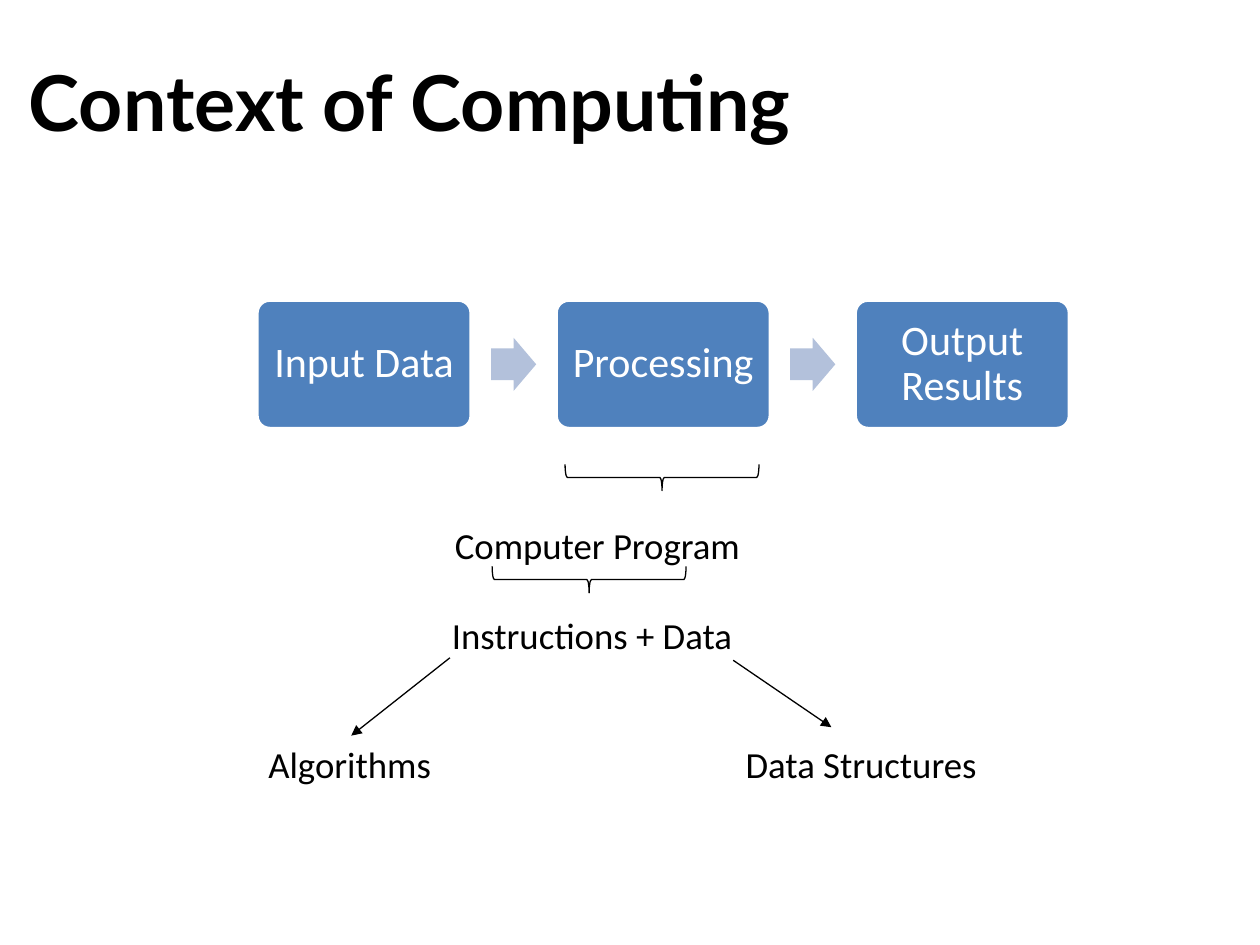
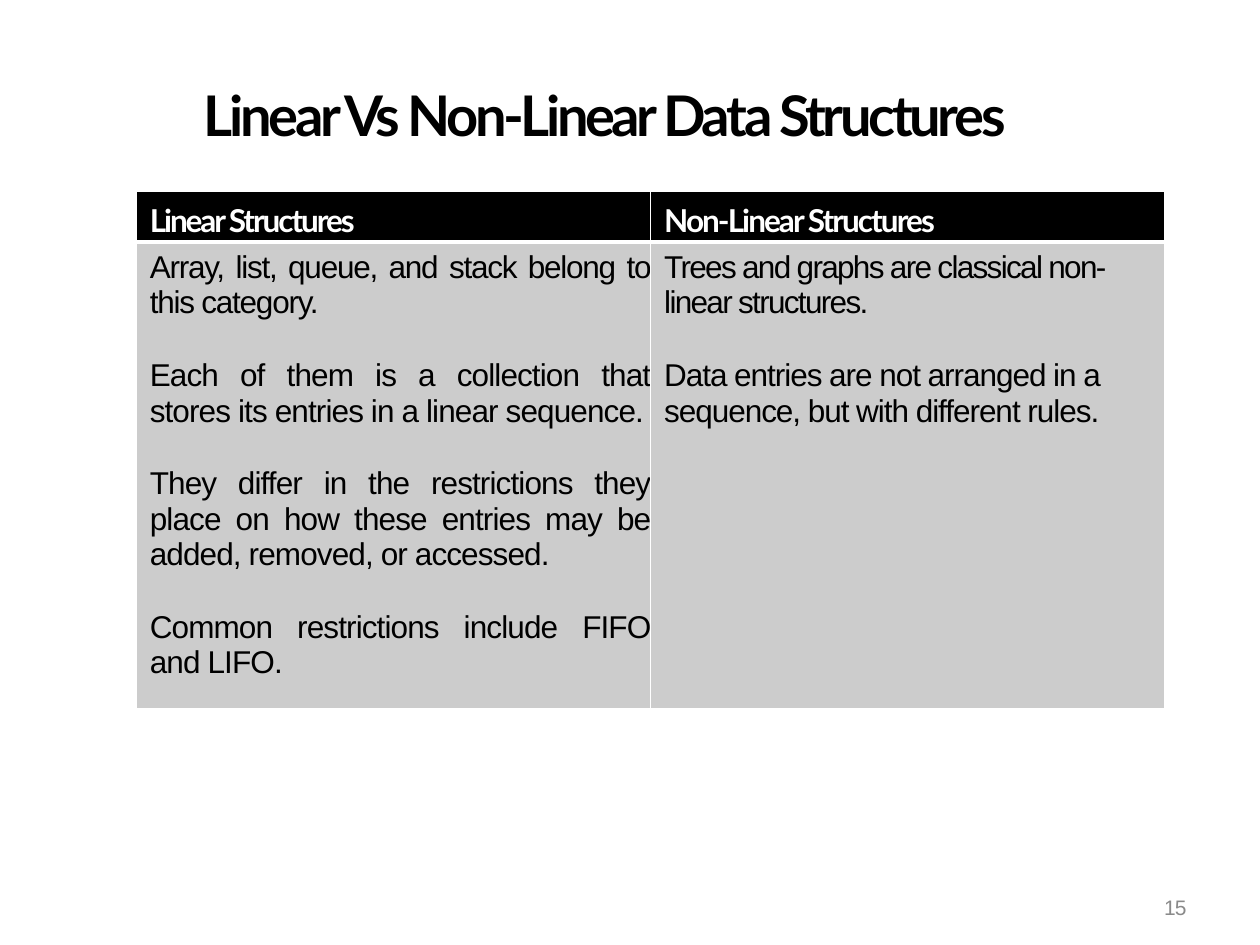
"""Build two slides on computing context and data structures."""
from dataclasses import dataclass

import pptx
import pptx.dml.color
import pptx.enum.shapes
import pptx.enum.text
import pptx.oxml.ns
import pptx.util
from lxml import etree

Cm = pptx.util.Cm
Pt = pptx.util.Pt
Shape = pptx.enum.shapes.MSO_SHAPE
Align = pptx.enum.text.PP_ALIGN
Anchor = pptx.enum.text.MSO_ANCHOR
qn = pptx.oxml.ns.qn


@dataclass(frozen=True)
class Theme:
    black: str = "000000"
    white: str = "FFFFFF"
    step: str = "4F81BD"
    arrow: str = "B3C1DB"
    cell: str = "CCCCCC"
    number: str = "8A8A8A"
    heading_font: str = "Lato"
    diagram_font: str = "Calibri"
    body_font: str = "Arial"
    title_size: float = 44
    small_title_size: float = 32
    step_size: float = 24
    label_size: float = 21
    table_size: float = 18
    number_size: float = 12
    hairline: float = 0.75
    cell_line: float = 1
    heavy_line: float = 3
    paragraph_gap: float = 21.5


def rgb(value):
    return pptx.dml.color.RGBColor.from_string(value)


class Deck:
    def __init__(self, theme):
        self.theme = theme
        self.presentation = pptx.Presentation()
        self.presentation.slide_width = Cm(25.4)
        self.presentation.slide_height = Cm(19.05)
        self.slide = None

    def new_slide(self):
        layout = self.presentation.slide_layouts.get_by_name("Title Only")
        self.slide = self.presentation.slides.add_slide(layout)

    def style(self, paragraph, font, size, color, bold=False, spacing=0, align=Align.LEFT):
        paragraph.alignment = align
        for run in paragraph.runs:
            run.font.name = font
            run.font.size = Pt(size)
            run.font.bold = bold
            run.font.color.rgb = rgb(color)
            if spacing:
                run.font._element.set("spc", str(round(spacing * 100)))

    def margins(self, frame, left=0, top=0, right=0, bottom=0):
        frame.margin_left, frame.margin_top = Cm(left), Cm(top)
        frame.margin_right, frame.margin_bottom = Cm(right), Cm(bottom)

    def title(self, text, left, top, width, height, size, spacing=0):
        heading = self.slide.shapes.title
        heading.left, heading.top = Cm(left), Cm(top)
        heading.width, heading.height = Cm(width), Cm(height)
        frame = heading.text_frame
        frame.text = text
        frame.auto_size = pptx.enum.text.MSO_AUTO_SIZE.NONE
        frame.vertical_anchor = Anchor.TOP
        self.margins(frame)
        self.style(frame.paragraphs[0], self.theme.heading_font, size,
                   self.theme.black, True, spacing)

    def shape(self, kind, left, top, width, height, fill=None, line=None, line_width=0):
        added = self.slide.shapes.add_shape(kind, Cm(left), Cm(top), Cm(width), Cm(height))
        added.shadow.inherit = False
        if fill:
            added.fill.solid()
            added.fill.fore_color.rgb = rgb(fill)
        else:
            added.fill.background()
        if line:
            added.line.color.rgb = rgb(line)
            added.line.width = Pt(line_width)
        else:
            added.line.fill.background()
        return added

    def step(self, text, left, top, width, height):
        box = self.shape(Shape.ROUNDED_RECTANGLE, left, top, width, height,
                         self.theme.step, self.theme.white, 2)
        box.adjustments[0] = 0.1
        frame = box.text_frame
        frame.text = text
        frame.word_wrap = True
        frame.vertical_anchor = Anchor.MIDDLE
        self.margins(frame, 0.15, 0.15, 0.15, 0.15)
        frame.paragraphs[0].line_spacing = 0.9
        self.style(frame.paragraphs[0], self.theme.diagram_font, self.theme.step_size,
                   self.theme.white, align=Align.CENTER)

    def block_arrow(self, left, top, width, height):
        arrow = self.shape(Shape.RIGHT_ARROW, left, top, width, height, self.theme.arrow)
        arrow.adjustments[0] = 0.6
        arrow.adjustments[1] = 0.5

    def brace(self, left, top):
        turned = self.shape(Shape.RIGHT_BRACE, left, top, 0.53, 3.91,
                            line=self.theme.black, line_width=self.theme.hairline)
        turned.rotation = 90

    def text_box(self, text, left, top, width, height, font, size, color, spacing=0):
        box = self.slide.shapes.add_textbox(Cm(left), Cm(top), Cm(width), Cm(height))
        box.text_frame.text = text
        box.text_frame.word_wrap = True
        self.style(box.text_frame.paragraphs[0], font, size, color, spacing=spacing)
        return box

    def label(self, text, left, top, width):
        return self.text_box(text, left, top, width, 1.14, self.theme.diagram_font,
                             self.theme.label_size, self.theme.black)

    def page_number(self, number):
        box = self.text_box(number, 23.39, 17.75, 0.8, 0.76, self.theme.body_font,
                            self.theme.number_size, self.theme.number, -0.6)
        self.margins(box.text_frame, left=0.08, top=0.29)

    def thin_arrow(self, start, end):
        link = self.slide.shapes.add_connector(
            pptx.enum.shapes.MSO_CONNECTOR.STRAIGHT, *map(Cm, start + end))
        link.line.color.rgb = rgb(self.theme.black)
        link.line.width = Pt(self.theme.hairline)
        etree.SubElement(link.line._get_or_add_ln(), qn("a:tailEnd"), type="triangle")
        etree.SubElement(link._element.spPr, qn("a:effectLst"))
        return link

    def cell_borders(self, cell, top, bottom):
        properties = cell._tc.get_or_add_tcPr()
        widths = {"lnL": self.theme.cell_line, "lnR": self.theme.cell_line,
                  "lnT": top, "lnB": bottom}
        for position, (side, width) in enumerate(widths.items()):
            line = etree.Element(qn("a:" + side), w=str(Pt(width)))
            fill = etree.SubElement(line, qn("a:solidFill"))
            etree.SubElement(fill, qn("a:srgbClr"), val=self.theme.white)
            properties.insert(position, line)

    def cell(self, cell, entries, fill, top_margin, **text_style):
        cell.fill.solid()
        cell.fill.fore_color.rgb = rgb(fill)
        self.margins(cell, left=0.28, top=top_margin)
        for position, (text, spacing) in enumerate(entries):
            frame = cell.text_frame
            paragraph = frame.add_paragraph() if position else frame.paragraphs[0]
            paragraph.text = text
            if position:
                paragraph.space_before = Pt(self.theme.paragraph_gap)
            self.style(paragraph, size=self.theme.table_size, spacing=spacing, **text_style)

    def comparison(self, columns, left, top, column_width, row_heights):
        table = self.slide.shapes.add_table(
            2, len(columns), Cm(left), Cm(top),
            Cm(column_width * len(columns)), Cm(sum(row_heights))).table
        for row, height in zip(table.rows, row_heights):
            row.height = Cm(height)
        thin, heavy = self.theme.cell_line, self.theme.heavy_line
        for index, (heading, entries, align) in enumerate(columns):
            table.columns[index].width = Cm(column_width)
            self.cell(table.cell(0, index), [heading], self.theme.black, 0.19,
                      font=self.theme.heading_font, color=self.theme.white, bold=True)
            self.cell(table.cell(1, index), entries, self.theme.cell, 0.16,
                      font=self.theme.body_font, color=self.theme.black, align=align)
            self.cell_borders(table.cell(0, index), thin, heavy)
            self.cell_borders(table.cell(1, index), heavy, thin)


def computing_context(deck):
    deck.new_slide()
    deck.title("Context of Computing", 0.58, 1.09, 23.77, 1.93, deck.theme.title_size)

    left, top, width, height, pitch = 5.18, 6.05, 4.32, 2.59, 6.03
    arrow_width, arrow_height = 0.91, 1.07
    stages = ["Input Data", "Processing", "Output Results"]
    for index, stage in enumerate(stages):
        stage_left = left + index * pitch
        deck.step(stage, stage_left, top, width, height)
        if index:
            deck.block_arrow(stage_left - (pitch - width + arrow_width) / 2,
                             top + (height - arrow_height) / 2, arrow_width, arrow_height)

    deck.brace(13.08, 7.67)
    deck.label("Computer Program", 8.92, 10.41, 6.6)
    deck.brace(11.61, 9.73)
    deck.label("Instructions + Data", 8.86, 12.22, 6.6)
    algorithms = deck.label("Algorithms", 5.16, 14.83, 3.84)
    deck.label("Data Structures", 14.78, 14.83, 5.4)
    deck.thin_arrow((9.07, 13.26), (7.08, 14.83)).end_connect(algorithms, 0)
    deck.thin_arrow((14.78, 13.31), (16.76, 14.66))


def structure_comparison(deck):
    deck.new_slide()
    deck.title("Linear Vs Non-Linear Data Structures", 4.11, 1.63, 17.2, 1.42,
               deck.theme.small_title_size, -1.95)
    linear = [
        ("Array, list, queue, and stack belong to this category.", -0.7),
        ("Each of them is a collection that stores its entries in a linear sequence.", -0.5),
        ("They differ in the restrictions they place on how these entries may be "
         "added, removed, or accessed.", -0.5),
        ("Common restrictions include FIFO and LIFO.", -0.5),
    ]
    non_linear = [
        ("Trees and graphs are classical non-linear structures.", -0.95),
        ("Data entries are not arranged in a sequence, but with different rules.", -0.6),
    ]
    columns = [
        (("Linear Structures", -1.2), linear, Align.JUSTIFY),
        (("Non-Linear Structures", -1.1), non_linear, Align.LEFT),
    ]
    deck.comparison(columns, 2.74, 3.86, 10.37, (1.02, 9.4))
    deck.page_number("15")


def main():
    deck = Deck(Theme())
    computing_context(deck)
    structure_comparison(deck)
    deck.presentation.save("out.pptx")


if __name__ == "__main__":
    main()
